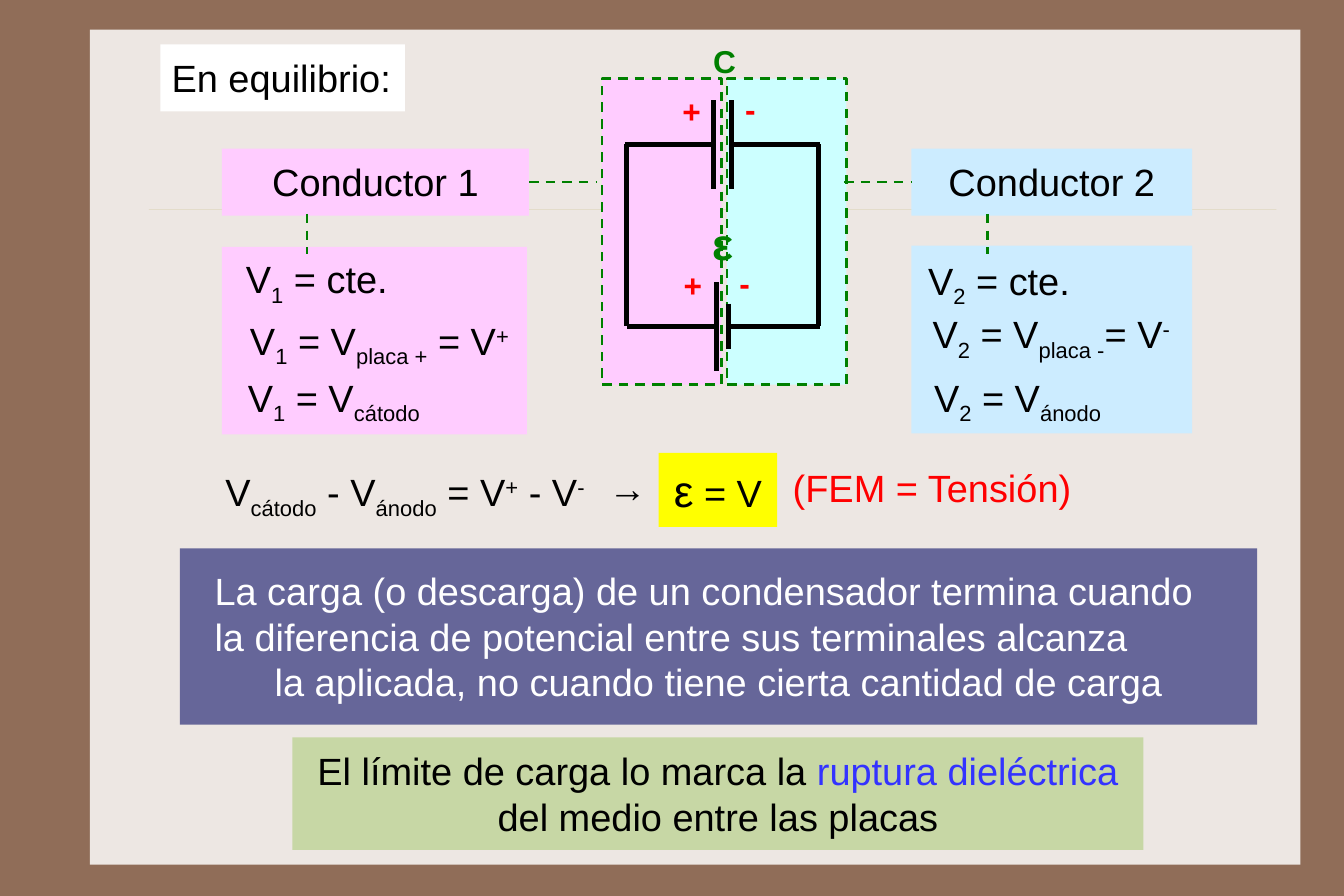
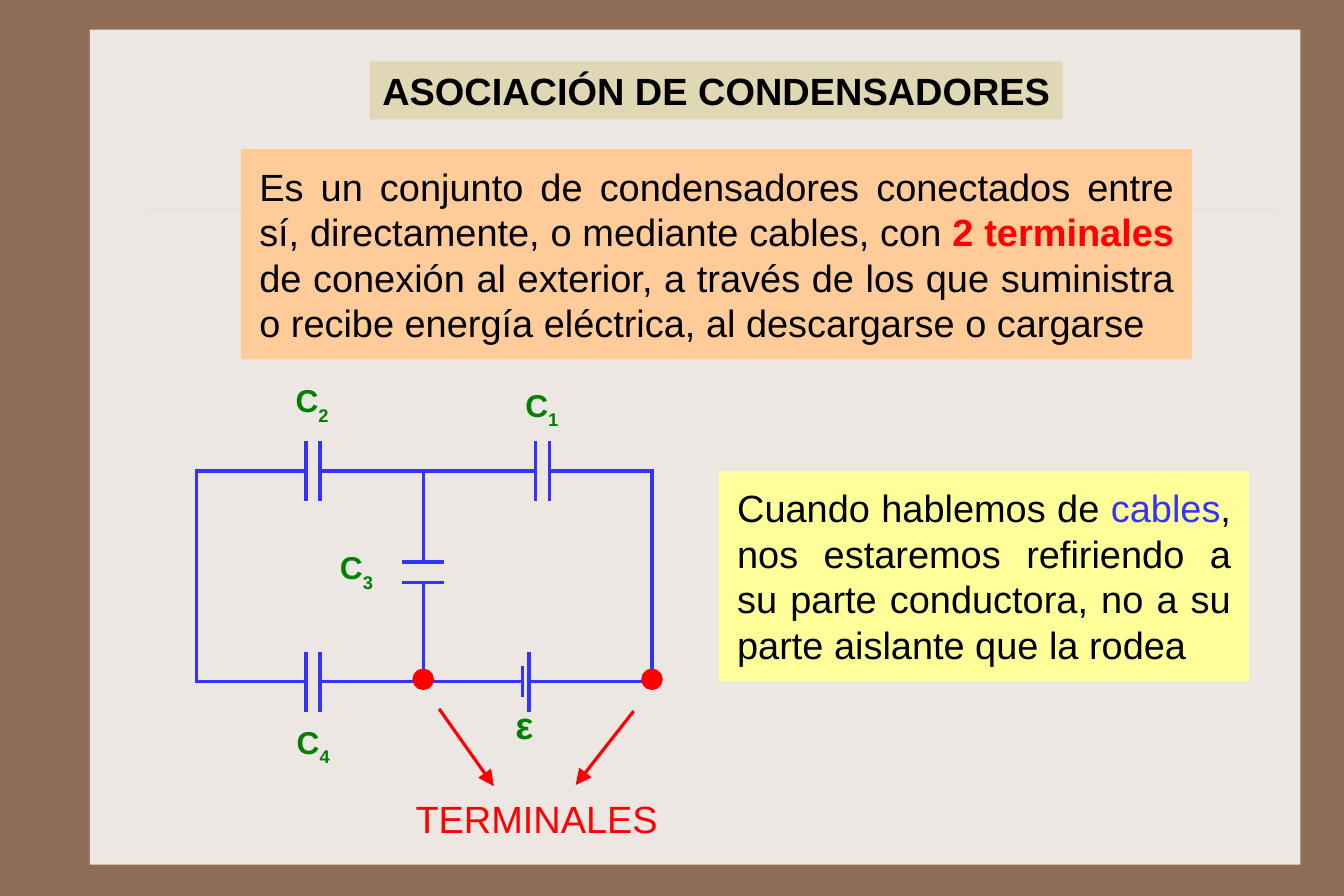
from dataclasses import dataclass
from typing import Any, NamedTuple

import lxml.etree
import pptx
import pptx.dml.color
import pptx.enum.dml
import pptx.enum.shapes
import pptx.enum.text
import pptx.oxml.ns
import pptx.util

FONT = "Arial"
HUES = {
    "frame": "906D58", "panel": "EDE7E3", "rule": "CBBD83",
    "black": "000000", "white": "FFFFFF", "red": "FF0000",
    "green": "008000", "blue": "3333FF", "pink": "FFCCFF",
    "aqua": "CCFFFF", "sky": "CCECFF", "slate": "666699",
    "moss": "C7D7A5", "yellow": "FFFF00", "lemon": "FFFF99",
    "peach": "FFCC99", "sand": "E0D7B5",
}
MARKS = {
    "_": {"base": -25}, "~": {"base": -30}, "^": {"base": 30},
    "!": {"hue": "red", "bold": True}, "#": {"hue": "blue"},
    "%": {"size": 24},
}
SIDES = {
    "l": pptx.enum.text.PP_ALIGN.LEFT,
    "c": pptx.enum.text.PP_ALIGN.CENTER,
    "r": pptx.enum.text.PP_ALIGN.RIGHT,
    "j": pptx.enum.text.PP_ALIGN.JUSTIFY,
}


class Pad(NamedTuple):
    left: float
    top: float
    right: float
    low: float


class Wire(NamedTuple):
    x1: float
    y1: float
    x2: float
    y2: float


WIDE = Pad(7.2, 6.5, 7.2, 6.5)
SLIM = Pad(7.2, 3.6, 7.2, 3.6)
DEEP = Pad(11.5, 8.6, 11.5, 8.6)


@dataclass(frozen=True)
class Box:
    x: float
    y: float
    w: float
    h: float
    text: str = ""
    fill: str = ""
    edge: str = ""
    thick: float = 1.5
    dash: bool = False
    hue: str = "black"
    size: float = 24
    bold: bool = False
    side: str = "l"
    pad: Pad = WIDE
    wrap: bool = True
    mid: bool = False
    tab: float = 0
    oval: bool = False


def rgb(hue: str) -> pptx.dml.color.RGBColor:
    return pptx.dml.color.RGBColor.from_string(HUES[hue])


def style(run: Any, hue: str, size: float, bold: bool, base: int = 0) -> None:
    font = run.font
    font.name = FONT
    font.size = pptx.util.Pt(size)
    font.bold = bold
    font.color.rgb = rgb(hue)
    if base:
        font._element.set("baseline", str(base * 1000))


def write(shape: Any, box: Box) -> None:
    frame = shape.text_frame
    frame.word_wrap = box.wrap
    frame.margin_left, frame.margin_top, frame.margin_right, frame.margin_bottom = (
        pptx.util.Pt(gap) for gap in box.pad)
    anchor = pptx.enum.text.MSO_ANCHOR
    frame.vertical_anchor = anchor.MIDDLE if box.mid else anchor.TOP
    para = frame.paragraphs[0]
    para.alignment = SIDES[box.side]
    if box.tab:
        tabs = lxml.etree.SubElement(
            para._p.get_or_add_pPr(), pptx.oxml.ns.qn("a:tabLst"))
        stop = lxml.etree.SubElement(tabs, pptx.oxml.ns.qn("a:tab"))
        stop.set("pos", str(pptx.util.Pt(box.tab)))
        stop.set("algn", "l")
    look = {"hue": box.hue, "size": box.size, "bold": box.bold}
    if "|" not in box.text:
        para.text = box.text
        for run in para.runs:
            style(run, **look)
        return
    for piece in box.text.split("|"):
        mark = MARKS.get(piece[0], {})
        run = para.add_run()
        run.text = piece[1:] if mark else piece
        style(run, **{**look, **mark})


def pen(line: Any, hue: str, width: float, dash: bool) -> None:
    line.color.rgb = rgb(hue)
    line.width = pptx.util.Pt(width)
    if dash:
        line.dash_style = pptx.enum.dml.MSO_LINE.DASH


def draw(slide: Any, box: Box) -> Any:
    spot = [pptx.util.Pt(n) for n in (box.x, box.y, box.w, box.h)]
    if box.fill:
        kinds = pptx.enum.shapes.MSO_SHAPE
        kind = kinds.OVAL if box.oval else kinds.RECTANGLE
        shape = slide.shapes.add_shape(kind, *spot)
        shape.shadow.inherit = False
        shape.fill.solid()
        shape.fill.fore_color.rgb = rgb(box.fill)
        if box.edge:
            pen(shape.line, box.edge, box.thick, box.dash)
        else:
            shape.line.fill.background()
    else:
        shape = slide.shapes.add_textbox(*spot)
    if box.text:
        write(shape, box)
    return shape


def link(slide: Any, wire: Wire, hue: str, width: float,
         dash: bool = False, head: bool = False) -> Any:
    line = slide.shapes.add_connector(
        pptx.enum.shapes.MSO_CONNECTOR.STRAIGHT, *(pptx.util.Pt(n) for n in wire))
    pen(line.line, hue, width, dash)
    if head:
        tip = lxml.etree.SubElement(
            line.line._get_or_add_ln(), pptx.oxml.ns.qn("a:tailEnd"))
        for key, value in (("type", "triangle"), ("w", "lg"), ("len", "lg")):
            tip.set(key, value)
    lxml.etree.SubElement(line._element.spPr, pptx.oxml.ns.qn("a:effectLst"))
    return line


def start(deck: Any) -> Any:
    slide = deck.slides.add_slide(deck.slide_layouts[6])
    draw(slide, Box(56.9, 18.7, 766.1, 528.5, fill="panel"))
    rule = link(slide, Wire(94.3, 132.5, 807.8, 132.5), "rule", 0.25)
    tint = next(rule._element.iter(pptx.oxml.ns.qn("a:srgbClr")))
    lxml.etree.SubElement(tint, pptx.oxml.ns.qn("a:alpha")).set("val", "40000")
    return slide


def label(x: float, y: float, text: str, hue: str, size: float = 20,
          pad: Pad = WIDE) -> Box:
    return Box(x, y, 42, 36.7, text, hue=hue, size=size, bold=True, pad=pad)


def balance(deck: Any) -> None:
    slide = start(deck)
    for x, fill in ((460.1, "aqua"), (380.9, "pink")):
        draw(slide, Box(x, 49.7, 75.6, 193.7, fill=fill, edge="green", dash=True))
    two = draw(slide, Box(576.7, 94, 177.8, 42.5, "Conductor 2", "sky", side="c"))
    one = draw(slide, Box(140.4, 94, 194.4, 42.5, "Conductor 1", "pink", side="c"))

    left, right, top, low = 396.5, 518, 91.4, 206.6
    for wire in (
        Wire(left, top, left, low), Wire(right, top, right, low),
        Wire(453.6, 178.6, 453.6, 234.7), Wire(460.8, 192.2, 460.8, 221),
        Wire(right + 1, low, 460.8, low), Wire(453.6, low, left, low),
        Wire(451.4, 63.4, 451.4, 119.5), Wire(463, 63.4, 463, 119.5),
        Wire(right + 1, top, 463, top), Wire(451.4, top, left - 1, top),
    ):
        link(slide, wire, "black", 3)

    for tag in (
        label(443.5, 130.3, "ε", "green", 28), label(444.2, 20.2, "C", "green"),
        label(424.8, 51.8, "+", "red"), label(464.4, 50.4, "-", "red"),
        label(425.5, 162, "+", "red"), label(460.8, 160.6, "-", "red"),
    ):
        draw(slide, tag)

    for box in (
        Box(101.5, 28.1, 154.8, 42.5, "En equilibrio:", "white", wrap=False),
        Box(113.8, 347, 681.8, 111.6,
            "La carga (o descarga) de un condensador termina cuando\v"
            "la diferencia de potencial entre sus terminales alcanza\v"
            "\tla aplicada, no cuando tiene cierta cantidad de carga",
            "slate", hue="white", pad=Pad(22, 12.2, 10, 12.2), tab=38),
        Box(185, 466.6, 538.6, 71.3,
            "El límite de carga lo marca la |#ruptura dieléctrica "
            "|del medio entre las placas", "moss", side="c"),
        Box(378, 287.3, 40, 42.5, "→"),
        Box(494.6, 287.3, 200, 42.5, "(FEM = Tensión)", hue="red"),
        Box(416.9, 286.6, 74.9, 46.8, "ε|% = V", "yellow", size=28, side="c"),
        Box(140.4, 156.2, 193, 118.8, fill="pink"),
        Box(576.7, 155.5, 177.8, 118.8, fill="sky"),
    ):
        draw(slide, box)

    mid = 115.25
    link(slide, Wire(334.8, mid, 378, mid), "green", 1.5, True).begin_connect(one, 3)
    link(slide, Wire(534.2, mid, 576.7, mid), "green", 1.5, True).end_connect(two, 1)
    for x in (194.4, 625):
        link(slide, Wire(x, 135.4, x, 160.6), "green", 1.5, True)

    for x, y, w, text in (
        (105.1, 155.5, 190.8, "V|_1| = cte."),
        (82.1, 194.4, 316.1, "V|_1| = V|_placa +| = V|^+"),
        (136.8, 230.4, 149, "V|_1| = V|_cátodo"),
        (539.3, 156.2, 185.8, "V|_2| = cte."),
        (571.7, 190.1, 187.2, "V|_2| = V|_placa -|= V|^-"),
        (569.5, 230.4, 149, "V|_2| = V|_ánodo"),
        (116.6, 290.2, 279.4, "V|_cátodo| - V|_ánodo| = V|^+| - V|^-"),
    ):
        draw(slide, Box(x, y, w, 42.5, text, side="c"))


def network(deck: Any) -> None:
    slide = start(deck)
    left, mid, right, top, low = 124.4, 267.8, 412.6, 298.1, 431.3
    near, far, cell, pole = (193.7, 202.5), (339.1, 347.8), 330.5, 334.8
    roof, base = 355.7, 368.6
    wires = [Wire(x, y - 19, x, y + 19)
             for x, y in ((near[0], top), (near[1], top), (far[0], top),
                          (far[1], top), (near[0], low), (near[1], low),
                          (pole, low))]
    wires += [Wire(254.2, y, 280.8, y) for y in (roof, base)]
    wires += [
        Wire(cell, low - 10, cell, low + 10),
        Wire(left - 1, top, near[0], top), Wire(near[1], top, far[0], top),
        Wire(far[1], top, right + 1, top), Wire(left - 1, low, near[0], low),
        Wire(near[1], low, cell, low), Wire(pole, low, right + 1, low),
        Wire(left, top, left, low), Wire(right, top, right, low),
        Wire(mid, top, mid, roof), Wire(mid, base, mid, low),
    ]
    for wire in wires:
        link(slide, wire, "blue", 2)
    for x, y, num in ((180, 237.6, 2), (325.4, 240.5, 1),
                      (208.1, 343.4, 3), (180.7, 453.6, 4)):
        draw(slide, label(x, y, f"C|~{num}", "green", pad=SLIM))
    draw(slide, Box(319, 444.2, 26.6, 28.8, "ε", hue="green", bold=True,
                    pad=SLIM, wrap=False, mid=True))
    for x in (mid, right):
        draw(slide, Box(x - 5.8, 424.1, 11.6, 11.6, fill="red", edge="red",
                        thick=2, oval=True))
    for wire in (Wire(401, 450, 364.3, 496.8), Wire(277.9, 448.6, 312.5, 497.5)):
        link(slide, wire, "red", 2, head=True)

    for box in (
        Box(250, 496.8, 173.4, 36.7, "TERMINALES", hue="red", side="r"),
        Box(152.6, 94.3, 601.9, 133.2,
            "Es un conjunto de condensadores conectados entre sí, directamente, "
            "o mediante cables, con |!2 terminales| de conexión al exterior, a "
            "través de los que suministra o recibe energía eléctrica, al "
            "descargarse o cargarse", "peach", side="j", pad=DEEP, mid=True),
        Box(234, 38.9, 438.5, 36.7, "ASOCIACIÓN DE CONDENSADORES", "sand",
            bold=True, pad=Pad(7.9, 3.6, 7.9, 3.6), wrap=False, mid=True),
        Box(455, 298.1, 335.5, 133.2,
            "Cuando hablemos de |#cables|, nos estaremos refiriendo a su parte "
            "conductora, no a su parte aislante que la rodea",
            "lemon", side="j", pad=DEEP),
    ):
        draw(slide, box)


def main() -> None:
    deck = pptx.Presentation()
    deck.slide_width = pptx.util.Pt(850.5)
    deck.slide_height = pptx.util.Pt(567)
    back = deck.slide_master.background.fill
    back.solid()
    back.fore_color.rgb = rgb("frame")
    balance(deck)
    network(deck)
    deck.save("out.pptx")


if __name__ == "__main__":
    main()
